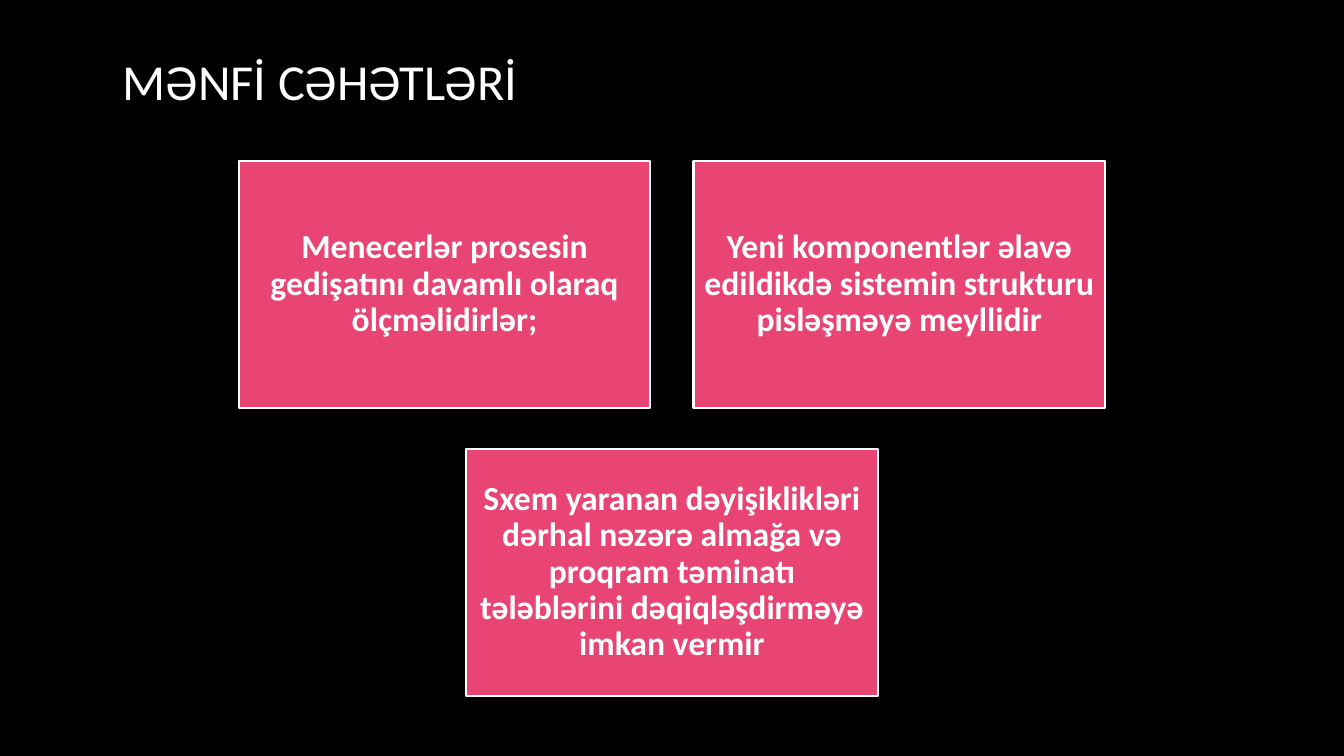
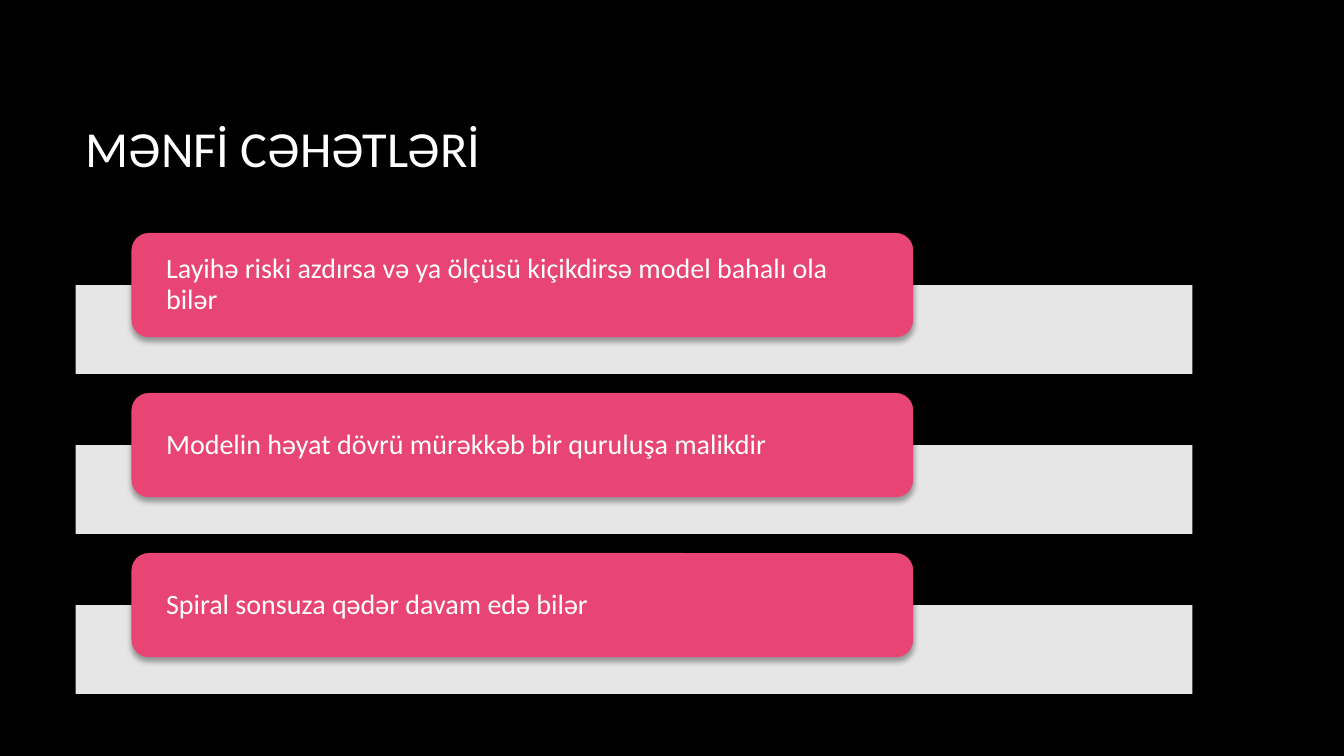
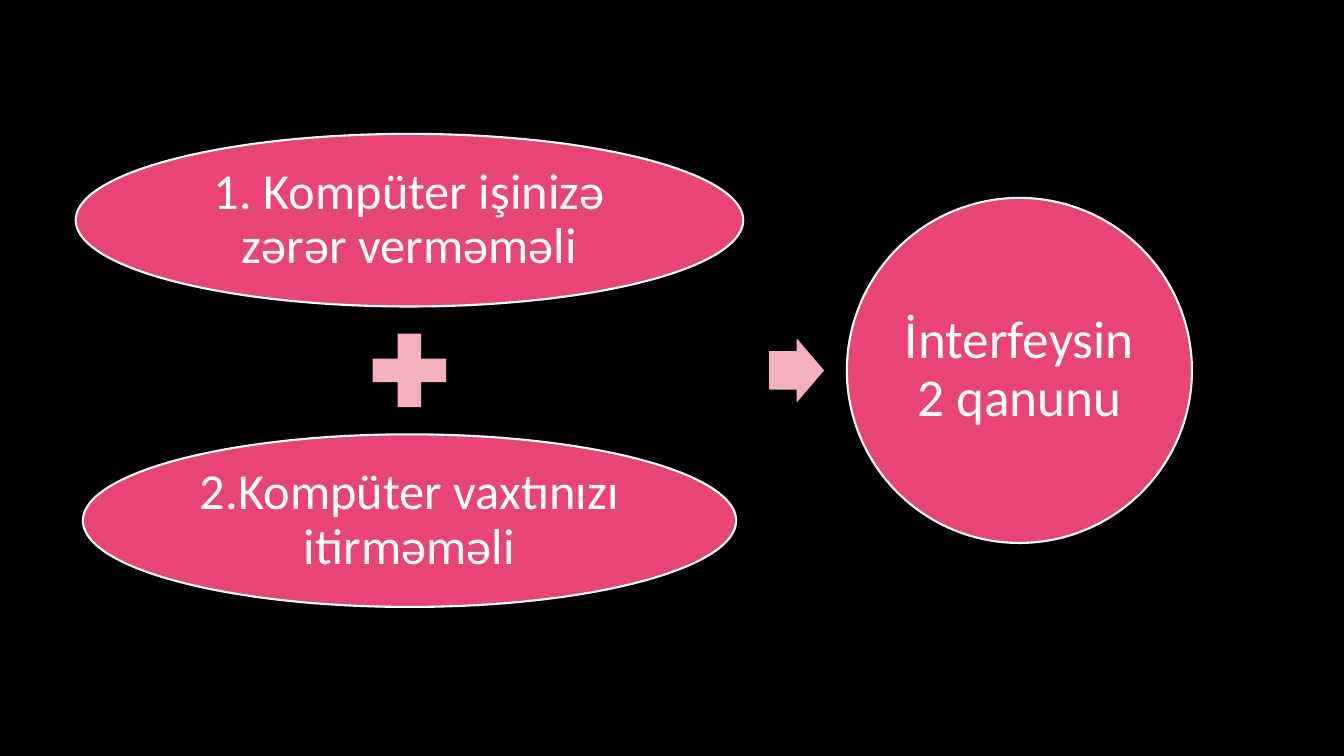
from dataclasses import dataclass
from typing import Optional

from lxml import etree
from pptx import Presentation
from pptx.dml.color import RGBColor
from pptx.enum.shapes import MSO_SHAPE
from pptx.enum.text import MSO_ANCHOR, PP_ALIGN
from pptx.oxml.ns import qn
from pptx.util import Pt

RECTANGLE = MSO_SHAPE.RECTANGLE
ROUNDED = MSO_SHAPE.ROUNDED_RECTANGLE
OVAL = MSO_SHAPE.OVAL
PLUS = MSO_SHAPE.MATH_PLUS
ARROW = MSO_SHAPE.RIGHT_ARROW
LEFT = PP_ALIGN.LEFT
CENTER = PP_ALIGN.CENTER
MIDDLE = MSO_ANCHOR.MIDDLE
TITLE_ONLY, BLANK = 5, 6


@dataclass(frozen=True)
class Theme:
    background: RGBColor = RGBColor(0x00, 0x00, 0x00)
    light: RGBColor = RGBColor(0xFF, 0xFF, 0xFF)
    accent: RGBColor = RGBColor(0xE8, 0x45, 0x74)
    accent_pale: RGBColor = RGBColor(0xF2, 0xB1, 0xBC)
    font: str = "Calibri"
    title_size: float = 36
    card_size: float = 24
    row_size: float = 20
    law_size: float = 36
    result_size: float = 38
    outline: float = 1.5
    line_spacing: float = 0.9


THEME = Theme()


@dataclass(frozen=True)
class Box:
    left: float
    top: float
    width: float
    height: float

    def lengths(self) -> tuple:
        return Pt(self.left), Pt(self.top), Pt(self.width), Pt(self.height)


@dataclass(frozen=True)
class Label:
    text: str
    size: float
    bold: bool = False
    align: PP_ALIGN = CENTER
    inset_x: float = 3.6
    inset_y: float = 3.6


def centered(x: float, y: float, width: float, height: float) -> Box:
    return Box(x - width / 2, y - height / 2, width, height)


def format_runs(paragraph, size: float, bold: bool = False) -> None:
    for run in paragraph.runs:
        run.font.name = THEME.font
        run.font.size = Pt(size)
        run.font.bold = bold
        run.font.color.rgb = THEME.light


def add_title(slide, text: str, box: Box) -> None:
    title = slide.shapes.title
    title.left, title.top, title.width, title.height = box.lengths()
    frame = title.text_frame
    frame.text = text
    frame.vertical_anchor = MIDDLE
    frame.paragraphs[0].alignment = LEFT
    format_runs(frame.paragraphs[0], THEME.title_size)


def add_figure(slide, kind: MSO_SHAPE, box: Box, fill: RGBColor,
               outlined: bool = False, label: Optional[Label] = None):
    figure = slide.shapes.add_shape(kind, *box.lengths())
    figure.shadow.inherit = False
    figure.fill.solid()
    figure.fill.fore_color.rgb = fill
    if outlined:
        figure.line.color.rgb = THEME.light
        figure.line.width = Pt(THEME.outline)
    else:
        figure.line.fill.background()
    if label:
        frame = figure.text_frame
        frame.word_wrap = True
        frame.vertical_anchor = MIDDLE
        frame.margin_left = frame.margin_right = Pt(label.inset_x)
        frame.margin_top = frame.margin_bottom = Pt(label.inset_y)
        frame.text = label.text
        paragraph = frame.paragraphs[0]
        paragraph.alignment = label.align
        paragraph.line_spacing = THEME.line_spacing
        format_runs(paragraph, label.size, label.bold)
    return figure


def add_alpha(color, percent: int) -> None:
    etree.SubElement(color, qn("a:alpha"), val=str(percent * 1000))


def add_drop_shadow(figure) -> None:
    effects = figure._element.spPr.find(qn("a:effectLst"))
    shadow = etree.SubElement(
        effects, qn("a:outerShdw"), blurRad=str(Pt(4)), dist=str(Pt(3)),
        dir="5400000", rotWithShape="0")
    color = etree.SubElement(shadow, qn("a:srgbClr"), val=str(THEME.background))
    add_alpha(color, 35)


def build_drawback_cards(prs) -> None:
    slide = prs.slides.add_slide(prs.slide_layouts[TITLE_ONLY])
    add_title(slide, "MƏNFİ CƏHƏTLƏRİ", Box(80.6, 0, 797.8, 114.5))
    width, height = 294, 176.4
    left, top = 170.6, 114.8
    column_step, row_step = width + 30.8, height + 29.4
    cards = (
        (0, 0, "Menecerlər prosesin gedişatını davamlı olaraq ölçməlidirlər;"),
        (1, 0, "Yeni komponentlər əlavə edildikdə sistemin strukturu pisləşməyə meyllidir"),
        (0.5, 1, "Sxem yaranan dəyişiklikləri dərhal nəzərə almağa və proqram təminatı "
                 "tələblərini dəqiqləşdirməyə imkan vermir"),
    )
    for column, row, text in cards:
        box = Box(left + column * column_step, top + row * row_step, width, height)
        label = Label(text, THEME.card_size, bold=True, inset_x=7.2, inset_y=7.2)
        add_figure(slide, RECTANGLE, box, THEME.accent, True, label)


def build_drawback_rows(prs) -> None:
    slide = prs.slides.add_slide(prs.slide_layouts[TITLE_ONLY])
    add_title(slide, "MƏNFİ CƏHƏTLƏRİ", Box(54, 48.2, 797.8, 114.5))
    drawbacks = (
        "Layihə riski azdırsa və ya ölçüsü kiçikdirsə model bahalı ola bilər",
        "Modelin həyat dövrü mürəkkəb bir quruluşa malikdir",
        "Spiral sonsuza qədər davam edə bilər",
    )
    top, step = 166.4, 114.3
    for row, text in enumerate(drawbacks):
        row_top = top + row * step
        band = add_figure(slide, RECTANGLE, Box(54, row_top + 37.2, 797.8, 63.5), THEME.light)
        add_alpha(band._element.spPr.find(qn("a:solidFill"))[0], 90)
        label = Label(text, THEME.row_size, align=LEFT, inset_x=21.1, inset_y=0)
        tab = add_figure(slide, ROUNDED, Box(93.9, row_top, 558.4, 74.4),
                         THEME.accent, label=label)
        add_drop_shadow(tab)


def build_interface_laws(prs) -> None:
    slide = prs.slides.add_slide(prs.slide_layouts[BLANK])
    laws_x, axis_y, law_offset = 292.5, 264.6, 107.3
    laws = (
        (-1, 476.8, "1. Kompüter işinizə zərər verməməli"),
        (1, 466.6, "2.Kompüter vaxtınızı itirməməli"),
    )
    for side, width, text in laws:
        box = centered(laws_x, axis_y + side * law_offset, width, 123.3)
        add_figure(slide, OVAL, box, THEME.accent, True, Label(text, THEME.law_size))
    add_figure(slide, PLUS, centered(laws_x, axis_y, 71.4, 71.4), THEME.accent_pale)
    arrow = add_figure(slide, ARROW, centered(569, axis_y, 39.2, 46), THEME.accent_pale)
    arrow.adjustments[0], arrow.adjustments[1] = 0.6, 0.5
    add_figure(slide, OVAL, centered(728.2, axis_y, 246.5, 246.5), THEME.accent, True,
               Label("İnterfeysin 2 qanunu", THEME.result_size))


def main() -> None:
    prs = Presentation()
    prs.slide_width, prs.slide_height = Pt(960), Pt(540)
    background = prs.slide_master.background.fill
    background.solid()
    background.fore_color.rgb = THEME.background
    build_drawback_cards(prs)
    build_drawback_rows(prs)
    build_interface_laws(prs)
    prs.save("out.pptx")


if __name__ == "__main__":
    main()
